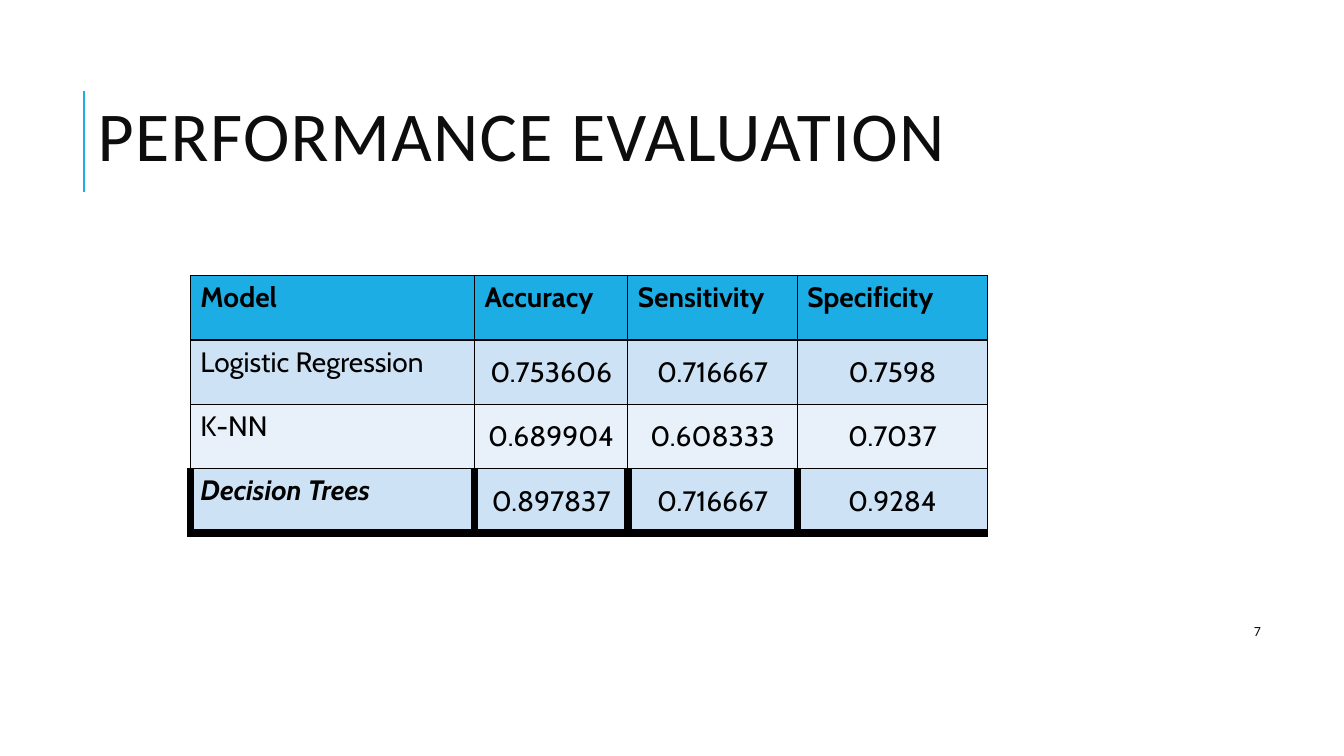
from pptx import Presentation
from pptx.dml.color import RGBColor
from pptx.enum.shapes import MSO_CONNECTOR
from pptx.enum.text import MSO_ANCHOR, MSO_AUTO_SIZE, PP_ALIGN
from pptx.oxml.ns import qn
from pptx.util import Pt
from lxml.etree import SubElement

COLORS = {
    "accent": "1CADE4",
    "ink": "0D0D0D",
    "black": "000000",
    "band_dark": "CDE3F5",
    "band_light": "E8F1FA",
}
COLUMN_WIDTHS = [203, 109.5, 121, 136]
ROW_HEIGHT = 45.9
ROWS = [
    ["Model", "Accuracy", "Sensitivity", "Specificity"],
    ["Logistic Regression", "0.753606", "0.716667", "0.7598"],
    ["K-NN", "0.689904", "0.608333", "0.7037"],
    ["Decision Trees", "0.897837", "0.716667", "0.9284"],
]
ROW_FILLS = ["accent", "band_dark", "band_light", "band_dark"]
THIN, THICK = 1, 6


def rgb(name):
    return RGBColor.from_string(COLORS[name])


def style_run(r, font, size, color, bold=False, italic=False):
    r.font.name = font
    r.font.size = Pt(size)
    r.font.color.rgb = rgb(color)
    r.font.bold = bold
    r.font.italic = italic


def add_title(s, text):
    sp = s.shapes.title
    sp.left, sp.top, sp.width, sp.height = Pt(62.6), Pt(71.3), Pt(736), Pt(59)
    tf = sp.text_frame
    tf.text = text
    tf.word_wrap = True
    tf.auto_size = MSO_AUTO_SIZE.NONE
    tf.vertical_anchor = MSO_ANCHOR.MIDDLE
    p = tf.paragraphs[0]
    p.alignment = PP_ALIGN.LEFT
    p.line_spacing = 0.8
    r = p.runs[0]
    style_run(r, "Calibri", 50, "ink")
    r.font._element.set("spc", "100")


def add_title_rule(s):
    line = s.shapes.add_connector(MSO_CONNECTOR.STRAIGHT, Pt(60), Pt(137), Pt(60), Pt(65))
    line.line.color.rgb = rgb("accent")
    line.line.width = Pt(1.5)
    SubElement(line._element.spPr, qn("a:effectLst"))


def set_borders(cell, left, right, top, bottom):
    tcPr = cell._tc.get_or_add_tcPr()
    for side, width in zip("LRTB", (left, right, top, bottom)):
        ln = SubElement(tcPr, qn(f"a:ln{side}"), w=str(Pt(width)))
        fill = SubElement(ln, qn("a:solidFill"))
        SubElement(fill, qn("a:srgbClr"), val=COLORS["black"])


def fill_cell(cell, text, row, col):
    header, best = row == 0, row == len(ROWS) - 1
    label = col == 0
    last_col = col == len(COLUMN_WIDTHS) - 1
    edge = THICK if best else THIN
    set_borders(cell, edge, THIN if last_col else edge, THIN, edge)
    cell.fill.solid()
    cell.fill.fore_color.rgb = rgb(ROW_FILLS[row])
    cell.text_frame.text = text
    p = cell.text_frame.paragraphs[0]
    style_run(p.runs[0], "Cabin", 20, "black", header or best and label, best and label)
    if not (header or label):
        p.alignment = PP_ALIGN.CENTER
        cell.vertical_anchor = MSO_ANCHOR.MIDDLE
        cell.margin_left = cell.margin_right = cell.margin_top = Pt(0.75)
        cell.margin_bottom = Pt(0)


def add_results_table(s):
    frame = s.shapes.add_table(len(ROWS), len(COLUMN_WIDTHS), Pt(136), Pt(197),
                               Pt(sum(COLUMN_WIDTHS)), Pt(ROW_HEIGHT * len(ROWS)))
    table = frame.table
    table.horz_banding = False
    for column, width in zip(table.columns, COLUMN_WIDTHS):
        column.width = Pt(width)
    for i, values in enumerate(ROWS):
        table.rows[i].height = Pt(ROW_HEIGHT)
        for j, text in enumerate(values):
            fill_cell(table.cell(i, j), text, i, j)


def add_page_number(s, number):
    sp = s.shapes.add_textbox(Pt(888.5), Pt(430.5), Pt(64), Pt(39.6))
    tf = sp.text_frame
    tf.word_wrap = True
    tf.vertical_anchor = MSO_ANCHOR.MIDDLE
    tf.text = number
    style_run(tf.paragraphs[0].runs[0], "Calibri", 10, "ink")


def main():
    prs = Presentation()
    prs.slide_width, prs.slide_height = Pt(960), Pt(540)
    s = prs.slides.add_slide(prs.slide_layouts[5])
    add_title_rule(s)
    add_title(s, "PERFORMANCE EVALUATION")
    add_results_table(s)
    add_page_number(s, "7")
    prs.save("out.pptx")


if __name__ == "__main__":
    main()
